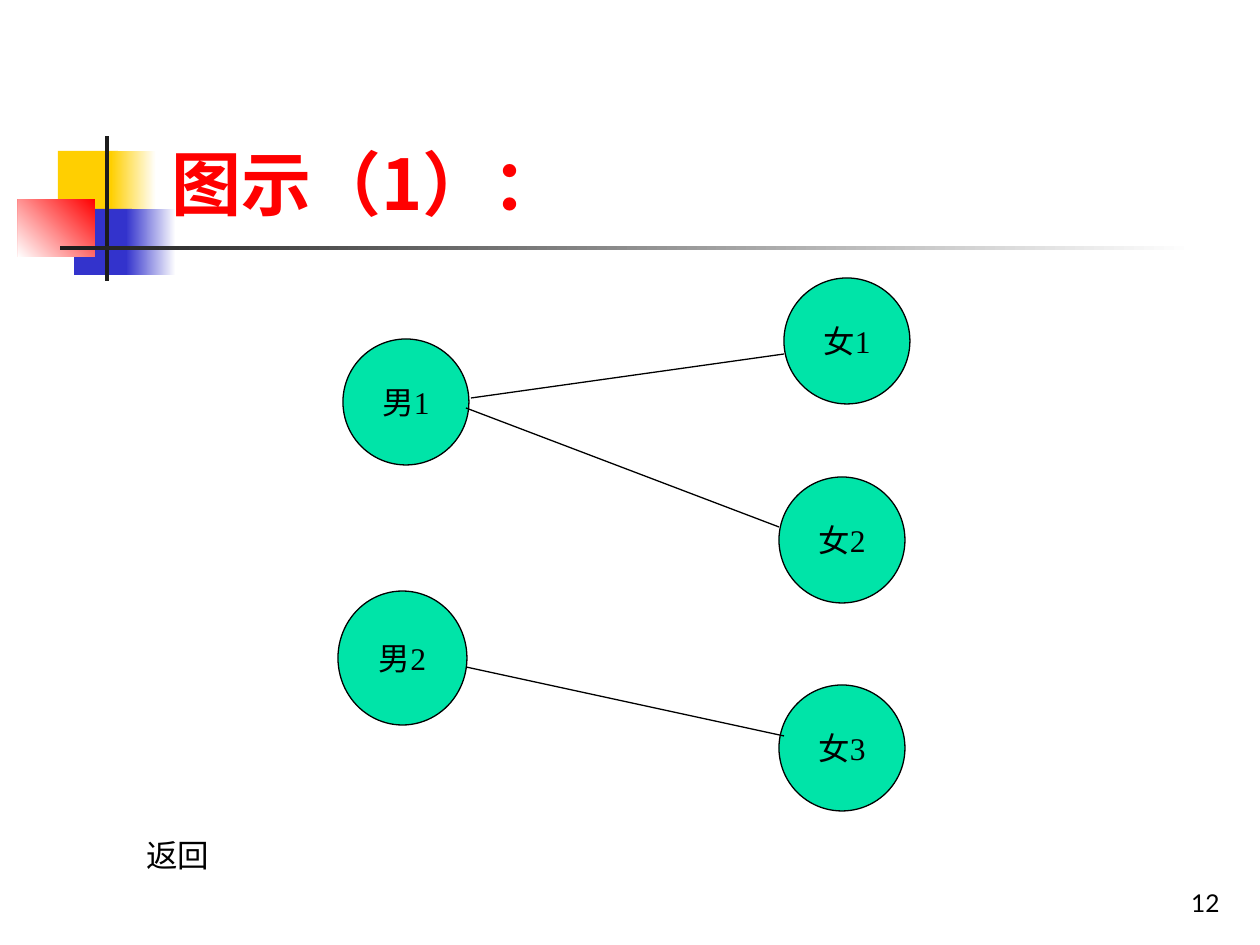
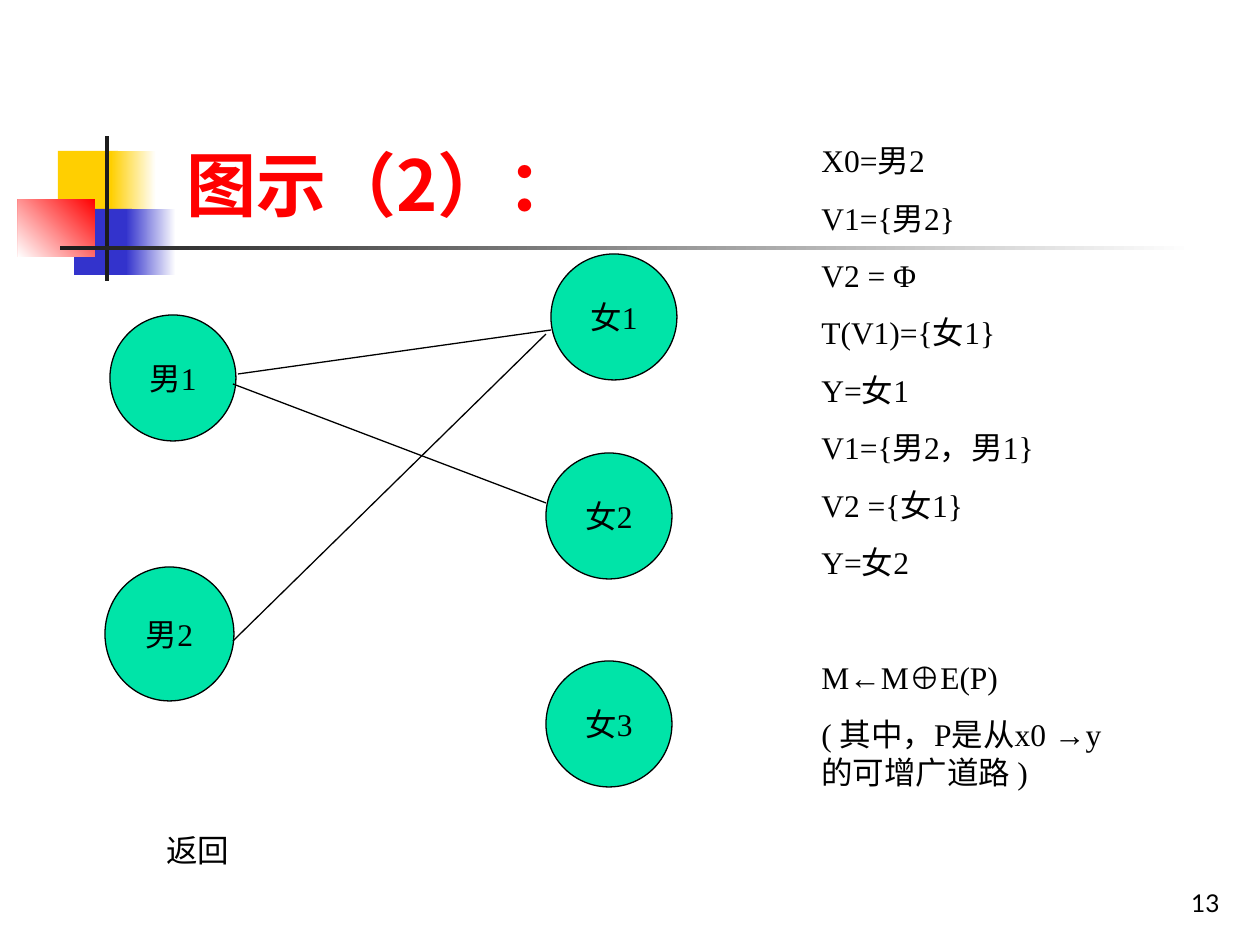
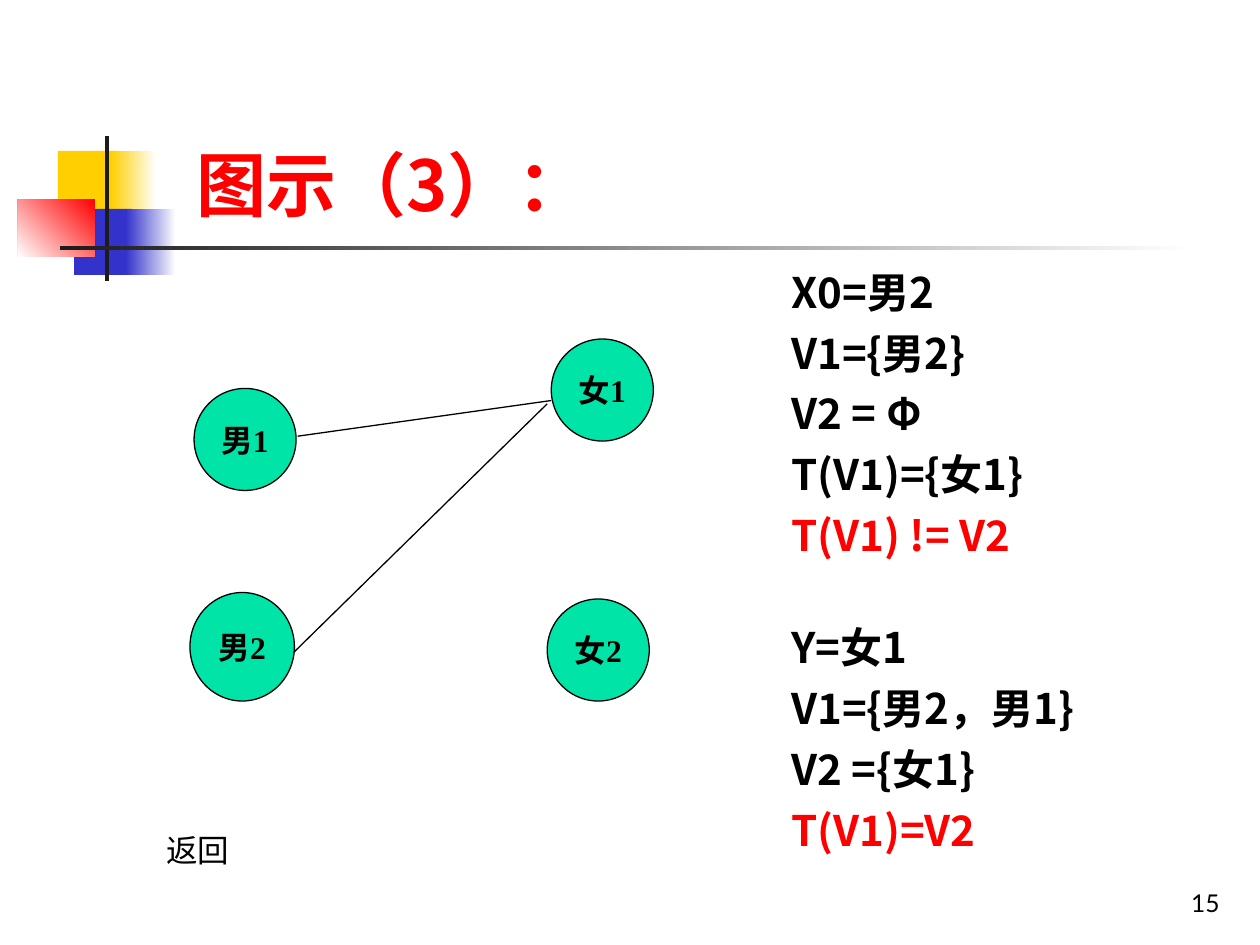
from dataclasses import dataclass

from lxml import etree
from pptx import Presentation
from pptx.dml.color import RGBColor
from pptx.enum.shapes import MSO_CONNECTOR, MSO_SHAPE
from pptx.enum.text import MSO_ANCHOR, MSO_AUTO_SIZE, PP_ALIGN
from pptx.oxml.ns import qn
from pptx.util import Pt

RECT, OVAL = MSO_SHAPE.RECTANGLE, MSO_SHAPE.OVAL
LINE = MSO_CONNECTOR.STRAIGHT
TOP, MIDDLE, BOTTOM = MSO_ANCHOR.TOP, MSO_ANCHOR.MIDDLE, MSO_ANCHOR.BOTTOM
LEFT, CENTER, RIGHT = PP_ALIGN.LEFT, PP_ALIGN.CENTER, PP_ALIGN.RIGHT
FIXED = MSO_AUTO_SIZE.NONE
SCALE = 914400 / 126


@dataclass(frozen=True)
class Theme:
    """Colours, fonts and sizes shared by the slides."""
    black: str = "000000"
    white: str = "FFFFFF"
    red: str = "FF0000"
    gold: str = "FFCF01"
    blue: str = "3333CC"
    dark: str = "1C1C1C"
    green: str = "00E4A8"
    sans: str = "Noto Sans CJK SC"
    sans_kr: str = "Noto Sans CJK KR"
    serif: str = "Times New Roman"
    digit: str = "Lato"
    title: int = 40
    large: int = 24
    body: int = 18
    small: int = 14
    line: float = 0.74
    lead: float = 1.2


T = Theme()

# Offsets and sizes inside the graph, before it is scaled
NODES = {
    "男1": (5, 61, 126, 126),
    "男2": (0, 313, 129, 134),
    "女1": (446, 0, 126, 126),
    "女2": (441, 199, 126, 126),
    "女3": (441, 407, 126, 126),
}
EDGES = {
    "男1-女1": (133, 120, 446, 76),
    "男1-女2": (128, 130, 441, 249),
    "男2-女1": (128, 387, 441, 80),
    "男2-女3": (128, 389, 446, 458),
}


def px(*vals):
    """Turn pixels into EMU."""
    return [round(v * SCALE) for v in vals]


def rgb(code):
    """Make a colour from its hex code."""
    return RGBColor.from_string(code)


def style(run, font, size, color=T.black, bold=False):
    """Format one run, with its East Asian font."""
    run.font.size, run.font.bold = Pt(size), bold
    run.font.color.rgb = rgb(color)
    run.font.name = font
    east = T.sans if font in (T.serif, T.digit) else font
    etree.SubElement(run.font._element, qn("a:ea")).set("typeface", east)


def frame(shape, anchor, wrap=True):
    """Set anchor and wrapping, and return the text frame."""
    text = shape.text_frame
    text.auto_size, text.word_wrap = FIXED, wrap
    text.vertical_anchor = anchor
    return text


def label(slide, box, text, font, size, anchor=TOP, align=LEFT, wrap=True):
    """Place a one-line text box."""
    body = frame(slide.shapes.add_textbox(*px(*box)), anchor, wrap)
    body.text = text
    para = body.paragraphs[0]
    para.alignment = align
    style(para.runs[0], font, size)


def decor(slide, master):
    """Draw the coloured corner and rule, then move them to the master."""
    parts = [
        ((58, 151, 60, 66), T.gold, None, 0),
        ((111, 151, 45, 66), T.white, T.gold, 180),
        ((74, 209, 58, 66), T.blue, None, 0),
        ((126, 209, 50, 66), T.white, T.blue, 180),
        ((18, 199, 77, 58), T.red, T.white, 225),
        ((105, 136, 4, 145), T.dark, None, 0),
        ((60, 246, 1134, 4), T.white, T.dark, 180),
    ]
    for num, (box, first, last, angle) in enumerate(parts, 20):
        shape = slide.shapes.add_shape(RECT, *px(*box))
        shape.shadow.inherit = False
        shape.line.fill.background()
        if last:
            shape.fill.gradient()
            shape.fill.gradient_angle = angle
            for stop, color in zip(shape.fill.gradient_stops, (first, last)):
                stop.color.rgb = rgb(color)
        else:
            shape.fill.solid()
            shape.fill.fore_color.rgb = rgb(first)
        shape.element.nvSpPr.cNvPr.id = num
        master.shapes.element.append(shape.element)


def heading(slide, box, parts):
    """Move the title and fill it with runs of (text, font)."""
    shape = slide.shapes.title
    shape.left, shape.top, shape.width, shape.height = px(*box)
    para = frame(shape, BOTTOM).paragraphs[0]
    para.alignment = LEFT
    for text, font in parts:
        run = para.add_run()
        run.text = text
        style(run, font, T.title, T.red, True)


def node(shapes, box, text, bold):
    """Draw one round node."""
    shape = shapes.add_shape(OVAL, *px(*box))
    shape.shadow.inherit = False
    shape.fill.solid()
    shape.fill.fore_color.rgb = rgb(T.green)
    shape.line.color.rgb = rgb(T.black)
    shape.line.width = Pt(T.line)
    body = frame(shape, MIDDLE, False)
    body.text = text
    body.paragraphs[0].alignment = CENTER
    style(body.paragraphs[0].runs[0], T.serif, T.body, bold=bold)


def edge(shapes, ends):
    """Draw one plain line between two nodes."""
    line = shapes.add_connector(LINE, *px(*ends))
    line.line.color.rgb = rgb(T.black)
    line.line.width = Pt(T.line)
    etree.SubElement(line.element.spPr, qn("a:effectLst"))


def graph(shapes, left, top, nodes, edges, zoom=1, bold=False):
    """Draw nodes and edges from a top left corner, scaled by zoom."""
    for name, (x, y, w, h) in nodes.items():
        box = left + x * zoom, top + y * zoom, w * zoom, h * zoom
        node(shapes, box, name, bold)
    for name in edges:
        a, b, c, d = (v * zoom for v in EDGES[name])
        edge(shapes, (left + a, top + b, left + c, top + d))


def steps(slide, box, lines, font, size, gap, breaks, bold=False, marks=()):
    """List the steps; breaks maps a line number to a wider gap."""
    body = frame(slide.shapes.add_textbox(*px(*box)), TOP)
    body.text = "\n".join(lines)
    for num, para in enumerate(body.paragraphs):
        para.space_before = Pt(breaks.get(num, gap))
        para.line_spacing = Pt(size * T.lead)
        color = T.red if num in marks else T.black
        style(para.runs[0], font, size, color, bold)


def footer(slide, num, left, top, width, wrap):
    """Place the return label and the page number."""
    label(slide, (left, top, width, 50), "返回", T.serif, T.body, wrap=wrap)
    label(slide, (970, 861, 262, 63), num, T.digit, T.small, BOTTOM, RIGHT)


def first(slide):
    """Build the start graph."""
    heading(slide, (159, 29, 1074, 202), [("图示（1）：", T.sans)])
    graph(slide.shapes, 338, 278, NODES, ["男1-女1", "男1-女2", "男2-女3"])
    footer(slide, "12", 134, 830, 228, True)


def second(slide):
    """Build the graph with the path that is found."""
    heading(slide, (174, 91, 465, 141), [("图示（2）：", T.sans)])
    group = slide.shapes.add_group_shape()
    graph(group.shapes, 105, 254, NODES, ["男1-女1", "男1-女2", "男2-女1"])
    lines = ["X0=男2", "V1={男2}", "V2 = Φ", "T(V1)={女1}", "Y=女1",
             "V1={男2，男1}", "V2 ={女1}", "Y=女2", "M←M⊕E(P)",
             "( 其中，P是从x0 →y的可增广道路 )"]
    steps(slide, (809, 135, 328, 664), lines, T.serif, T.body, 11.2, {8: 44})
    footer(slide, "13", 154, 825, 88, False)


def third(slide):
    """Build the smaller graph where no path is found."""
    heading(slide, (184, 91, 465, 141),
            [("图示", T.sans), ("（3）：", T.sans_kr)])
    nodes = {name: NODES[name] for name in ("男1", "男2", "女1")}
    nodes["女2"] = (441, 321, 126, 126)
    group = slide.shapes.add_group_shape()
    graph(group.shapes, 190, 339, nodes, ["男1-女1", "男2-女1"], 0.81, True)
    lines = ["X0=男2", "V1={男2}", "V2 = Φ", "T(V1)={女1}", "T(V1) != V2",
             "Y=女1", "V1={男2，男1}", "V2 ={女1}", "T(V1)=V2"]
    steps(slide, (779, 260, 382, 602), lines, T.sans, T.large, 6, {5: 35.2},
          True, (4, 8))
    footer(slide, "15", 154, 825, 88, False)


def main():
    """Build and save the deck."""
    deck = Presentation()
    deck.slide_width, deck.slide_height = px(1260, 945)
    for num, build in enumerate((first, second, third)):
        slide = deck.slides.add_slide(deck.slide_layouts[5])
        if num == 0:
            decor(slide, deck.slide_master)
        build(slide)
    deck.save("out.pptx")


main()
